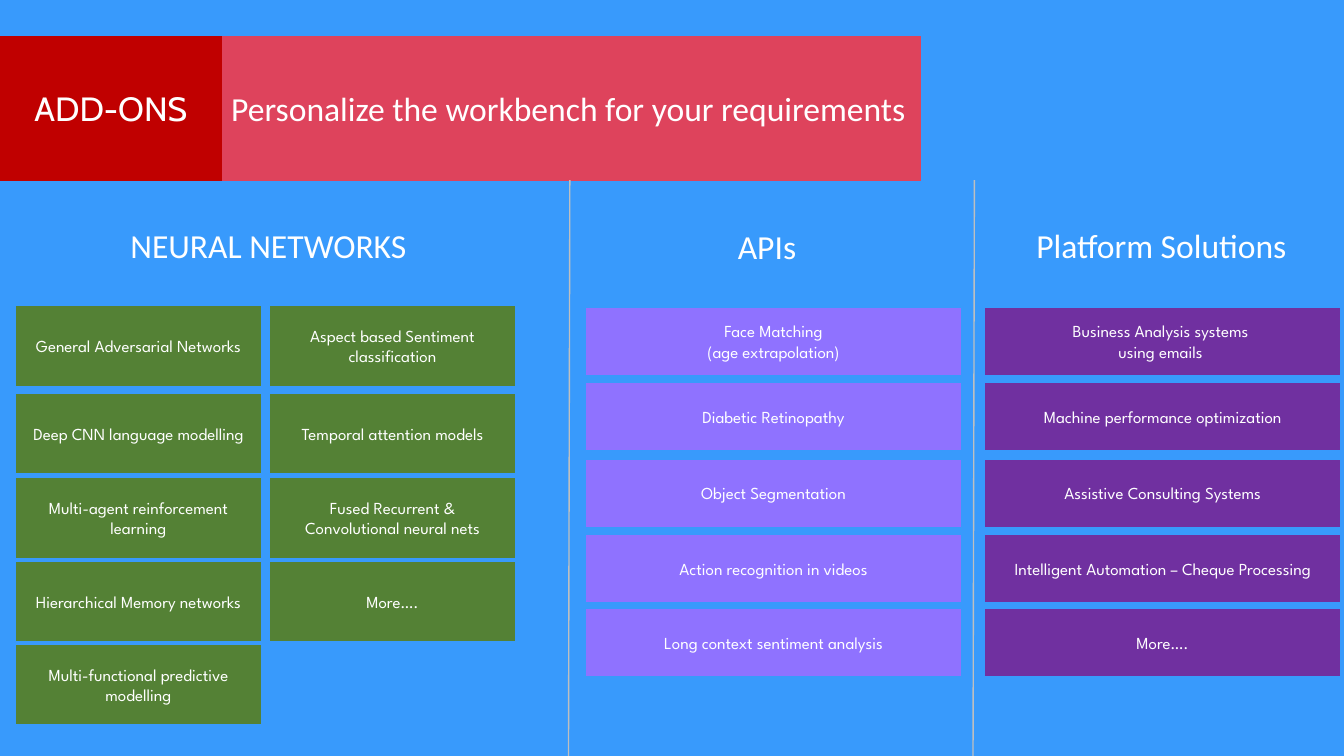
import pptx
import pptx.dml.color
import pptx.enum.shapes
import pptx.enum.text
import pptx.oxml
import pptx.oxml.ns
import pptx.util
from pptx.util import Inches

WHITE = "FFFFFF"
ALIGN = pptx.enum.text.PP_ALIGN
ANCHOR = pptx.enum.text.MSO_ANCHOR
SLIDE_WIDTH = Inches(10)
SLIDE_HEIGHT = SLIDE_WIDTH * 9 // 16


def color(hex_value):
    return pptx.dml.color.RGBColor.from_string(hex_value)


def drawing_element(tag, attributes=""):
    return pptx.oxml.parse_xml(
        f"<{tag} {pptx.oxml.ns.nsdecls('a')} {attributes}/>")


def paint(box, fill, line_width):
    box.fill.solid()
    box.fill.fore_color.rgb = color(fill)
    box.line.color.rgb = color(fill)
    box.line.width = pptx.util.Pt(line_width)
    # Square corners on the outline
    box._element.spPr.ln.append(drawing_element("a:miter", 'lim="800000"'))


def write(box, text, font, size, align, anchor=ANCHOR.MIDDLE):
    frame = box.text_frame
    frame.word_wrap = True
    frame.auto_size = pptx.enum.text.MSO_AUTO_SIZE.NONE
    frame.vertical_anchor = anchor
    frame.margin_left = frame.margin_right = Inches(0.07)
    frame.margin_top = frame.margin_bottom = Inches(0.04)
    frame.text = text
    for paragraph in frame.paragraphs:
        paragraph.alignment = align
        paragraph.font.name = font
        paragraph.font.size = pptx.util.Pt(size)
        paragraph.font.color.rgb = color(WHITE)


def add_tile(slide, left, top, width, height, text, fill,
             font="League Spartan", size=9, line_width=1.5):
    tile = slide.shapes.add_shape(
        pptx.enum.shapes.MSO_SHAPE.RECTANGLE,
        Inches(left), Inches(top), Inches(width), Inches(height))
    tile.shadow.inherit = False
    paint(tile, fill, line_width)
    write(tile, text, font, size, ALIGN.CENTER)


def add_banner(slide, left, top, width, height, label_width):
    # Headline strip, with the section label at its left end
    headline = slide.shapes.title
    headline.left, headline.top = Inches(left + label_width), Inches(top)
    headline.width, headline.height = Inches(width - label_width), Inches(height)
    paint(headline, "DE435C", 0.75)
    write(headline, "Personalize the workbench for your requirements",
          "Calibri", 18, ALIGN.LEFT)
    add_tile(slide, left, top, label_width, height, "ADD-ONS", "C00000",
             "Cabin", 18, 0.75)


def add_heading(slide, left, top, width, text):
    heading = slide.shapes.add_textbox(
        Inches(left), Inches(top), Inches(width), Inches(0.38))
    write(heading, text, "Calibri", 18, ALIGN.LEFT, ANCHOR.TOP)


def add_stack(slide, left, tops, width, height, fill, items):
    for top, item in zip(tops, items):
        add_tile(slide, left, top, width, height, item, fill)


def add_divider(slide, left, top):
    divider = slide.shapes.add_connector(
        pptx.enum.shapes.MSO_CONNECTOR.STRAIGHT,
        Inches(left), Inches(top), Inches(left - 0.01), SLIDE_HEIGHT)
    divider.line.color.rgb = color("BFBFBF")
    divider.line.width = pptx.util.Pt(0.75)
    divider._element.spPr.append(drawing_element("a:effectLst"))


NETWORK_TOPS = [2.29, 2.94, 3.57, 4.19, 4.81]
SERVICE_TOPS = [2.3, 2.86, 3.43, 3.99, 4.54]
NETWORKS = [
    ["General Adversarial Networks", "Deep CNN language modelling",
     "Multi-agent reinforcement learning", "Hierarchical Memory networks",
     "Multi-functional predictive modelling"],
    ["Aspect based Sentiment classification", "Temporal attention models",
     "Fused Recurrent & Convolutional neural nets", "More…."],
]
APIS = ["Face Matching\n(age extrapolation)", "Diabetic Retinopathy",
        "Object Segmentation", "Action recognition in videos",
        "Long context sentiment analysis"]
SOLUTIONS = ["Business Analysis systems \nusing emails ",
             "Machine performance optimization",
             "Assistive Consulting Systems",
             "Intelligent Automation – Cheque Processing", "More…."]


def main():
    deck = pptx.Presentation()
    deck.slide_width, deck.slide_height = SLIDE_WIDTH, SLIDE_HEIGHT
    slide = deck.slides.add_slide(deck.slide_layouts[5])
    slide.background.fill.solid()
    slide.background.fill.fore_color.rgb = color("389AFC")

    add_banner(slide, 0, 0.27, 6.85, 1.07, label_width=1.65)
    for left in (4.24, 7.25):
        add_divider(slide, left, 1.34)

    # Neural networks, in two columns
    add_heading(slide, 0.9, 1.63, 2.58, "NEURAL NETWORKS")
    for column, networks in enumerate(NETWORKS):
        add_stack(slide, 0.13 + column * 1.89, NETWORK_TOPS, 1.8, 0.57,
                  "548135", networks)

    # APIs
    add_heading(slide, 5.42, 1.64, 0.64, "APIs")
    add_stack(slide, 4.37, SERVICE_TOPS, 2.77, 0.48, "8F72FF", APIS)

    # Platform solutions
    add_heading(slide, 7.64, 1.63, 2.21, "Platform Solutions")
    add_stack(slide, 7.34, SERVICE_TOPS, 2.62, 0.48, "7030A0", SOLUTIONS)

    deck.save("out.pptx")


if __name__ == "__main__":
    main()
